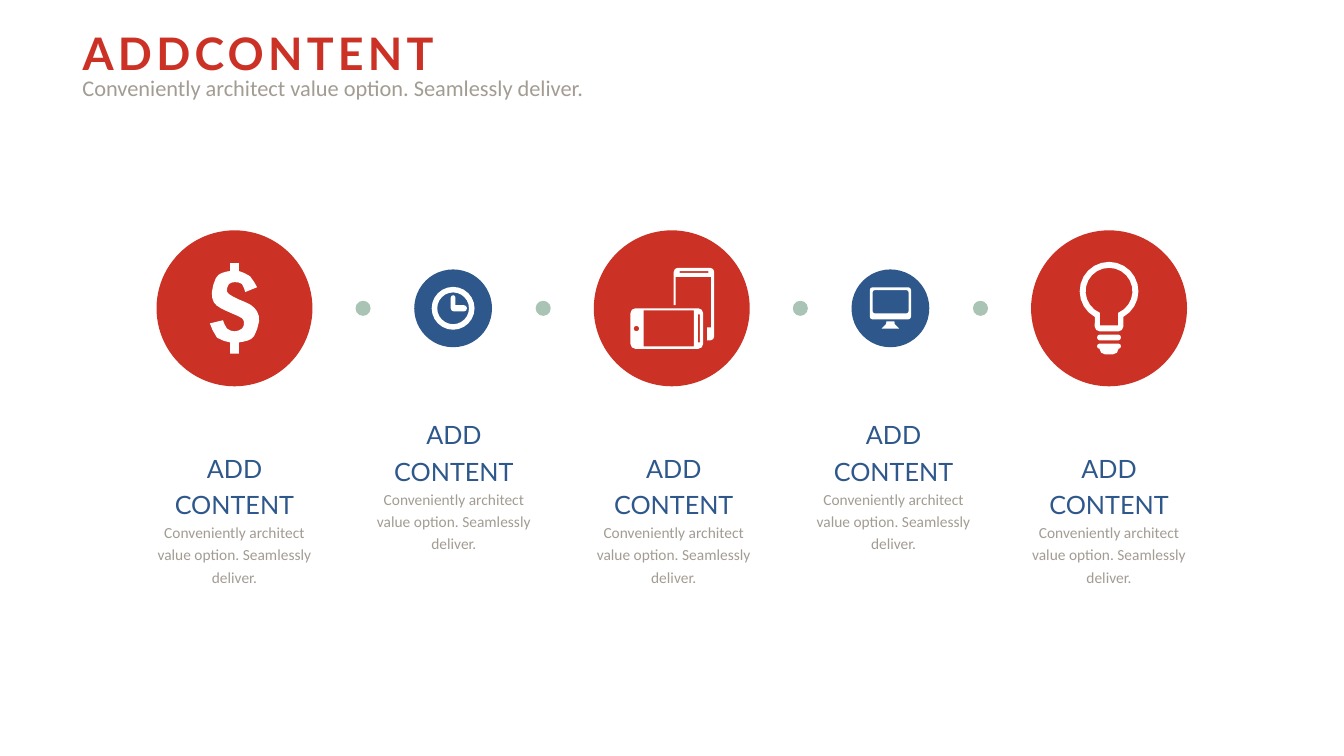
from dataclasses import dataclass
from math import cos, radians, sin

from pptx import Presentation
from pptx.dml.color import RGBColor
from pptx.enum.shapes import MSO_SHAPE
from pptx.enum.text import MSO_ANCHOR, MSO_AUTO_SIZE, PP_ALIGN
from pptx.util import Cm, Pt


@dataclass(frozen=True)
class Theme:
    red: str = "CB3125"
    blue: str = "2E578B"
    green: str = "A9C4B5"
    grey: str = "A29C93"
    white: str = "FFFFFF"
    head_font: str = "Lato"
    body_font: str = "Calibri"
    title: int = 32
    subtitle: int = 16
    heading: int = 18
    body: int = 11


T = Theme()
BLURB = "Conveniently architect value option. Seamlessly deliver."


def write(p, text, font=T.body_font, size=T.body, color=T.grey, bold=False,
          align=PP_ALIGN.LEFT, line=None, tracking=None):
    p.alignment = align
    if line:
        p.line_spacing = line
    r = p.add_run()
    r.text = text
    r.font.name, r.font.size, r.font.bold = font, Pt(size), bold
    r.font.color.rgb = RGBColor.from_string(color)
    if tracking:
        r.font._element.set("spc", str(tracking * 100))


def set_frame(sp):
    tf = sp.text_frame
    tf.word_wrap = True
    tf.auto_size = MSO_AUTO_SIZE.SHAPE_TO_FIT_TEXT
    tf.vertical_anchor = MSO_ANCHOR.TOP
    return tf


def paint(sp, color):
    sp.shadow.inherit = False
    sp.fill.solid()
    sp.fill.fore_color.rgb = RGBColor.from_string(color)
    sp.line.fill.background()


def add_disc(slide, cx, cy, size, color):
    sp = slide.shapes.add_shape(MSO_SHAPE.OVAL, Cm(cx - size / 2), Cm(cy - size / 2),
                                Cm(size), Cm(size))
    paint(sp, color)


def arc(cx, cy, r, start, end, steps=2):
    """Points clockwise along an arc, angles in degrees from the right."""
    angles = [radians(start + (end - start) * i / steps) for i in range(steps + 1)]
    return [(cx + r * cos(a), cy + r * sin(a)) for a in angles]


def ring(cx, cy, r, steps=24):
    return arc(cx, cy, r, 0, 360, steps)[:-1]


def box(x, y, w, h):
    return [(x, y), (x + w, y), (x + w, y + h), (x, y + h)]


def round_box(x, y, w, h, r):
    corners = box(x + r, y + r, w - 2 * r, h - 2 * r)
    return [point for i, (cx, cy) in enumerate(corners)
            for point in arc(cx, cy, r, 180 + 90 * i, 270 + 90 * i)]


def smooth(*knots):
    """Knots of a curve with a Catmull-Rom midpoint between each two."""
    padded = [knots[0], *knots, knots[-1]]
    points = []
    for a, b, c, d in zip(padded, padded[1:], padded[2:], padded[3:]):
        points += [b, tuple((9 * (b[k] + c[k]) - a[k] - d[k]) / 16 for k in (0, 1))]
    return points + [knots[-1]]


# Each icon is a list of contours, in cm from the centre of its disc.
def dollar():
    return [
        smooth((.27, -.41), (.19, -.61), (.01, -.66), (-.14, -.61), (-.19, -.46),
               (-.14, -.36), (.09, -.23), (.39, -.1), (.57, .08), (.62, .33),
               (.5, .69), (.34, .81), (.11, .86))
        + [(.11, 1.14), (-.11, 1.14)]
        + smooth((-.11, .86), (-.44, .74), (-.62, .38))
        + smooth((-.29, .3), (-.19, .51), (.01, .58), (.19, .51), (.24, .38),
                 (.19, .25), (-.06, .13), (-.34, 0), (-.52, -.15), (-.57, -.41),
                 (-.47, -.76), (-.32, -.89), (-.11, -.94))
        + [(-.11, -1.14), (.11, -1.14)]
        + smooth((.11, -.94), (.39, -.81), (.57, -.53))]


def clock():
    hands = (arc(0, -.27, .06, 180, 360, 4) + [(.06, -.08)]
             + arc(.27, 0, .08, -90, 90, 4) + arc(.02, 0, .08, 90, 180))
    return [ring(0, 0, .54), ring(0, 0, .4), hands]


def devices():
    upright = (arc(.15, -.92, .1, 180, 270) + arc(.97, -.92, .1, 270, 360)
               + arc(.97, .71, .1, 0, 90)
               + [(.89, .81), (.89, .48), (.99, .48), (.99, -.79),
                  (.1, -.79), (.1, -.08), (.05, -.08)])
    return [upright, box(.2, -.94, .72, .05),
            round_box(-1.04, 0, 1.83, 1.02, .12), box(-.71, .05, 1.27, .91),
            box(.66, .15, .05, .71), ring(-.89, .51, .07, 8)]


def monitor():
    stand = [(-.1, .33), (.1, .33), (.11, .4), (.22, .51), (-.22, .51), (-.11, .4)]
    return [round_box(-.52, -.53, 1.04, .81, .07),
            round_box(-.45, -.46, .91, .59, .06), stand]


def bulb():
    outer = (arc(0, -.43, .74, 119, 421, 20) + arc(.24, .46, .12, 0, 90)
             + arc(-.24, .46, .12, 90, 180))
    inner = arc(0, -.43, .59, 113, 427, 20) + [(.23, .43), (-.23, .43)]
    cap = arc(.1, 1.02, .14, 0, 90) + arc(-.1, 1.02, .14, 90, 180)
    return [outer, inner, round_box(-.3, .66, .6, .15, .07),
            round_box(-.3, .89, .6, .13, .06), cap]


def add_icon(slide, cx, cy, contours):
    placed = [[(Cm(cx + x), Cm(cy + y)) for x, y in c] for c in contours]
    first, *others = placed
    fb = slide.shapes.build_freeform(*first[0])
    fb.add_line_segments(first[1:])
    for contour in others:
        fb.move_to(*contour[0])
        fb.add_line_segments(contour[1:])
    paint(fb.convert_to_shape(), T.white)


def add_header(slide, x, y):
    title = slide.shapes.title
    title.left, title.top, title.width, title.height = Cm(x), Cm(y), Cm(11.89), Cm(1.73)
    write(set_frame(title).paragraphs[0], "ADDCONTENT", font=T.head_font, size=T.title,
          color=T.red, bold=True, line=1.2, tracking=3)
    sp = slide.shapes.add_textbox(Cm(x), Cm(y + 1.49), Cm(15.65), Cm(.94))
    write(set_frame(sp).paragraphs[0], BLURB, size=T.subtitle)


def add_caption(slide, cx, y, w=4.55, h=3.76):
    tf = set_frame(slide.shapes.add_textbox(Cm(cx - w / 2), Cm(y), Cm(w), Cm(h)))
    centred = dict(align=PP_ALIGN.CENTER, line=1.2)
    write(tf.paragraphs[0], "ADD CONTENT", font=T.head_font, size=T.heading,
          color=T.blue, **centred)
    write(tf.add_paragraph(), BLURB, **centred)


def add_steps(slide, x, cy, pitch):
    """Row of discs from centre x, large and small in turn, with captions."""
    steps = ((dollar, 0), (clock, .02), (devices, .05), (monitor, .08), (bulb, 0))
    for i, (icon, caption_shift) in enumerate(steps):
        cx = x + i * pitch
        small = i % 2 == 1
        add_disc(slide, cx, cy, 1.96 if small else 3.93, T.blue if small else T.red)
        if small:
            for offset in (-2.27, 2.27):
                add_disc(slide, cx + offset, cy, .38, T.green)
        add_icon(slide, cx, cy, icon())
        add_caption(slide, cx + caption_shift, cy + (2.53 if small else 3.37))


def main():
    prs = Presentation()
    prs.slide_width, prs.slide_height = Cm(33.87), Cm(19.05)
    slide = prs.slides.add_slide(prs.slide_layouts[5])
    add_header(slide, 1.83, .25)
    add_steps(slide, 5.91, 7.77, 5.51)
    prs.save("out.pptx")


if __name__ == "__main__":
    main()
